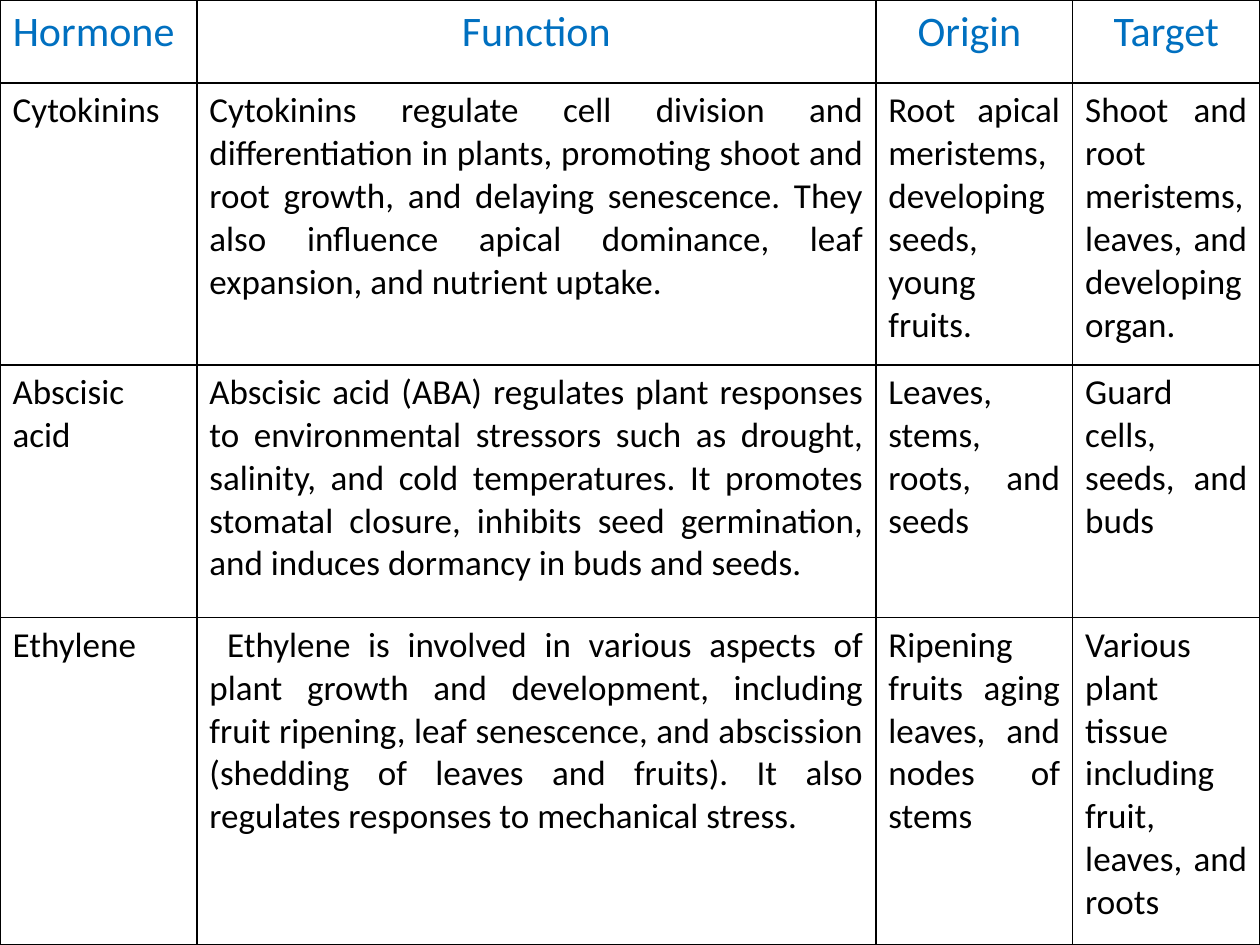
from pptx import Presentation
from pptx.dml.color import RGBColor
from pptx.enum.text import MSO_ANCHOR, PP_ALIGN
from pptx.oxml.ns import qn
from pptx.util import Pt
from lxml import etree

CENTER = PP_ALIGN.CENTER
JUSTIFY = PP_ALIGN.JUSTIFY
TOP = MSO_ANCHOR.TOP
BLANK_LAYOUT = 6

COLORS = {"header": "0070C0", "body": "000000", "border": "000000"}

COLUMN_WIDTHS = [112.5, 388, 112.5, 107]
ROW_HEIGHTS = [47.5, 161, 144.5, 187]

HORMONES = [
    ["Hormone ", "Function", "Origin ", "Target"],
    ["Cytokinins",
     "Cytokinins regulate cell division and differentiation in plants, "
     "promoting shoot and root growth, and delaying senescence. They also "
     "influence apical dominance, leaf expansion, and nutrient uptake.",
     "Root apical meristems, developing seeds, young fruits.",
     "Shoot and root meristems, leaves, and developing organ."],
    ["Abscisic acid",
     "Abscisic acid (ABA) regulates plant responses to environmental "
     "stressors such as drought, salinity, and cold temperatures. It promotes "
     "stomatal closure, inhibits seed germination, and induces dormancy in "
     "buds and seeds.",
     "Leaves, stems, roots, and seeds ",
     "Guard cells, seeds, and buds "],
    ["Ethylene",
     " Ethylene is involved in various aspects of plant growth and "
     "development, including fruit ripening, leaf senescence, and abscission "
     "(shedding of leaves and fruits). It also regulates responses to "
     "mechanical stress.",
     "Ripening fruits aging leaves, and nodes of stems ",
     "Various plant tissue including fruit, leaves, and roots"],
]


class SlideBuilder:
    """Holds the text styles and the slide being built."""

    header = {"size": Pt(24), "color": COLORS["header"], "alignment": CENTER}
    body = {"size": Pt(20), "color": COLORS["body"], "alignment": JUSTIFY}
    font_name = "Calibri"
    border_width = Pt(1)

    def __init__(self, slide):
        self.slide = slide

    def add_table(self, rows, widths, heights):
        frame = self.slide.shapes.add_table(
            len(rows), len(widths), 0, 0, Pt(sum(widths)), Pt(sum(heights)))
        table = frame.table
        table.first_row = table.horz_banding = False
        for column, width in zip(table.columns, widths):
            column.width = Pt(width)
        for row, height in zip(table.rows, heights):
            row.height = Pt(height)
        for row_index, texts in enumerate(rows):
            style = self.body if row_index else self.header
            for column_index, text in enumerate(texts):
                self.format_cell(table.cell(row_index, column_index), text, style)

    def format_cell(self, cell, text, style):
        cell.vertical_anchor = TOP
        self.add_borders(cell)
        cell.fill.background()
        paragraph = cell.text_frame.paragraphs[0]
        paragraph.alignment = style["alignment"]
        run = paragraph.add_run()
        run.text = text
        font_values = {"name": self.font_name, "size": style["size"], "bold": False}
        for name, value in font_values.items():
            setattr(run.font, name, value)
        run.font.color.rgb = RGBColor.from_string(style["color"])

    def add_borders(self, cell):
        properties = cell._tc.get_or_add_tcPr()
        for side in ("a:lnL", "a:lnR", "a:lnT", "a:lnB"):
            line = etree.SubElement(properties, qn(side), w=str(self.border_width))
            fill = etree.SubElement(line, qn("a:solidFill"))
            etree.SubElement(fill, qn("a:srgbClr"), val=COLORS["border"])


def main():
    presentation = Presentation()
    presentation.slide_width = Pt(720)
    presentation.slide_height = Pt(540)
    layout = presentation.slide_layouts[BLANK_LAYOUT]
    builder = SlideBuilder(presentation.slides.add_slide(layout))

    # Plant hormone table filling the slide
    builder.add_table(HORMONES, COLUMN_WIDTHS, ROW_HEIGHTS)

    presentation.save("out.pptx")


if __name__ == "__main__":
    main()
